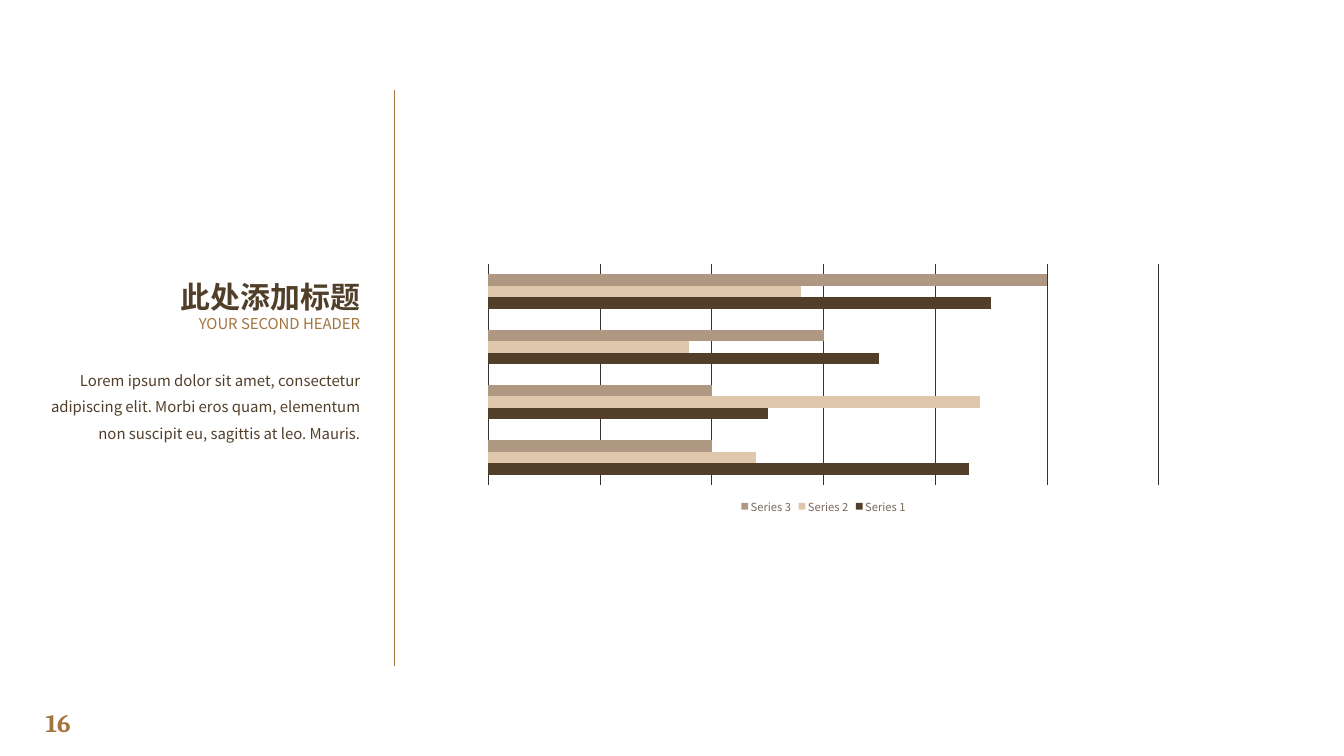
from dataclasses import dataclass
from typing import Optional

from lxml.etree import SubElement
from pptx import Presentation
from pptx.chart.data import CategoryChartData
from pptx.dml.color import RGBColor
from pptx.enum.chart import XL_CHART_TYPE as ChartType, XL_LEGEND_POSITION as LegendPosition
from pptx.enum.shapes import MSO_CONNECTOR as Connector
from pptx.enum.text import MSO_ANCHOR as Anchor, PP_ALIGN as Align
from pptx.oxml.ns import qn
from pptx.util import Pt


@dataclass(frozen=True)
class Theme:
    """Colours, fonts and type sizes of the slide."""
    dark: RGBColor = RGBColor(0x51, 0x3F, 0x2A)
    accent: RGBColor = RGBColor(0xA3, 0x74, 0x3D)
    sand: RGBColor = RGBColor(0xDF, 0xC7, 0xAB)
    taupe: RGBColor = RGBColor(0xAE, 0x98, 0x81)
    grid: RGBColor = RGBColor(0x38, 0x32, 0x2B)
    chart_text: RGBColor = RGBColor(0x1E, 0x1B, 0x17)
    legend_text: RGBColor = RGBColor(0x79, 0x6C, 0x5C)
    body_font: str = "Noto Sans CJK SC"
    number_font: str = "Cambria"
    title_size: float = 32
    text_size: float = 16
    number_size: float = 27
    chart_size: float = 10
    legend_size: float = 12


@dataclass(frozen=True)
class TextBlock:
    """A one-paragraph text box, measured in points."""
    text: str
    top: float
    height: float
    size: float
    color: RGBColor
    font: str = Theme.body_font
    width: float = 351.36
    bold: bool = False
    spacing: Optional[float] = None
    align: Align = Align.RIGHT
    anchor: Anchor = Anchor.TOP
    wrap: bool = True


@dataclass(frozen=True)
class BarSeries:
    """A named, coloured series of the bar chart."""
    name: str
    values: tuple[int, ...]
    color: RGBColor


THEME = Theme()
TEXT_LEFT = 41.76
TEXT_BLOCKS = (
    TextBlock("16", 754.56, 40.32, THEME.number_size, THEME.accent, THEME.number_font,
              width=51.12, bold=True, align=Align.LEFT, wrap=False),
    TextBlock("此处添加标题", 296.64, 44.64, THEME.title_size, THEME.dark,
              bold=True, spacing=0.9, anchor=Anchor.BOTTOM),
    TextBlock("YOUR SECOND HEADER", 335.52, 30.24, THEME.text_size, THEME.accent, spacing=0.9),
    TextBlock("Lorem ipsum dolor sit amet, consectetur adipiscing elit. Morbi eros quam, "
              "elementum non suscipit eu, sagittis at leo. Mauris.",
              384.48, 209.52, THEME.text_size, THEME.dark, spacing=1.5),
)
CATEGORIES = ("1", "2", "3", "4")
BAR_SERIES = (
    BarSeries("Series 1", (86, 50, 70, 90), THEME.dark),
    BarSeries("Series 2", (48, 88, 36, 56), THEME.sand),
    BarSeries("Series 3", (40, 40, 60, 100), THEME.taupe),
)


def style_font(font, size: float, color: RGBColor, name: str, bold: bool = False) -> None:
    """Set size, colour, typeface and weight of a font."""
    font.size = Pt(size)
    font.color.rgb = color
    font.name = name
    font.bold = bold


def draw_text(page, block: TextBlock) -> None:
    """Add a text box holding one paragraph."""
    box = page.shapes.add_textbox(Pt(TEXT_LEFT), Pt(block.top), Pt(block.width), Pt(block.height))
    frame = box.text_frame
    frame.word_wrap = block.wrap
    frame.vertical_anchor = block.anchor
    para = frame.paragraphs[0]
    para.text = block.text
    para.alignment = block.align
    para.line_spacing = block.spacing
    style_font(para.font, block.size, block.color, block.font, block.bold)
    properties = para._p.get_or_add_pPr().get_or_add_defRPr()
    SubElement(properties, qn("a:ea")).set("typeface", block.font)


def draw_divider(page, x: float, top: float, bottom: float) -> None:
    """Add the thin vertical rule beside the text column."""
    divider = page.shapes.add_connector(Connector.STRAIGHT, Pt(x), Pt(top), Pt(x), Pt(bottom))
    divider.line.color.rgb = THEME.accent
    divider.line.width = Pt(0.5)
    SubElement(divider._element.spPr, qn("a:effectLst"))


def draw_chart(page, left: float, top: float, width: float, height: float) -> None:
    """Add the clustered bar chart with its legend."""
    data = CategoryChartData()
    data.categories = CATEGORIES
    for series in BAR_SERIES:
        data.add_series(series.name, series.values)
    chart = page.shapes.add_chart(ChartType.BAR_CLUSTERED, Pt(left), Pt(top),
                                  Pt(width), Pt(height), data).chart
    style_font(chart.font, THEME.chart_size, THEME.chart_text, THEME.body_font)
    chart.has_title = False
    chart.has_legend = True
    chart.legend.position = LegendPosition.BOTTOM
    chart.legend.include_in_layout = False
    style_font(chart.legend.font, THEME.legend_size, THEME.legend_text, THEME.body_font)

    chart.category_axis.visible = False
    axis = chart.value_axis
    axis.visible = False
    axis.minimum_scale, axis.maximum_scale, axis.major_unit = 0, 120, 20
    axis.has_major_gridlines = True
    axis.major_gridlines.format.line.color.rgb = THEME.grid
    axis.major_gridlines.format.line.width = Pt(0.75)

    plot = chart.plots[0]
    plot.gap_width = 182
    plot.vary_by_categories = False
    for bars, series in zip(plot.series, BAR_SERIES):
        bars.format.fill.solid()
        bars.format.fill.fore_color.rgb = series.color


def main() -> None:
    """Build the slide and save it."""
    deck = Presentation()
    deck.slide_width, deck.slide_height = Pt(1440), Pt(810)
    page = deck.slides.add_slide(deck.slide_layouts[6])
    draw_divider(page, 421.92, 96.48, 713.52)
    for block in TEXT_BLOCKS:
        draw_text(page, block)
    draw_chart(page, 508.32, 277.2, 748.08, 277.2)
    deck.save("out.pptx")


if __name__ == "__main__":
    main()
